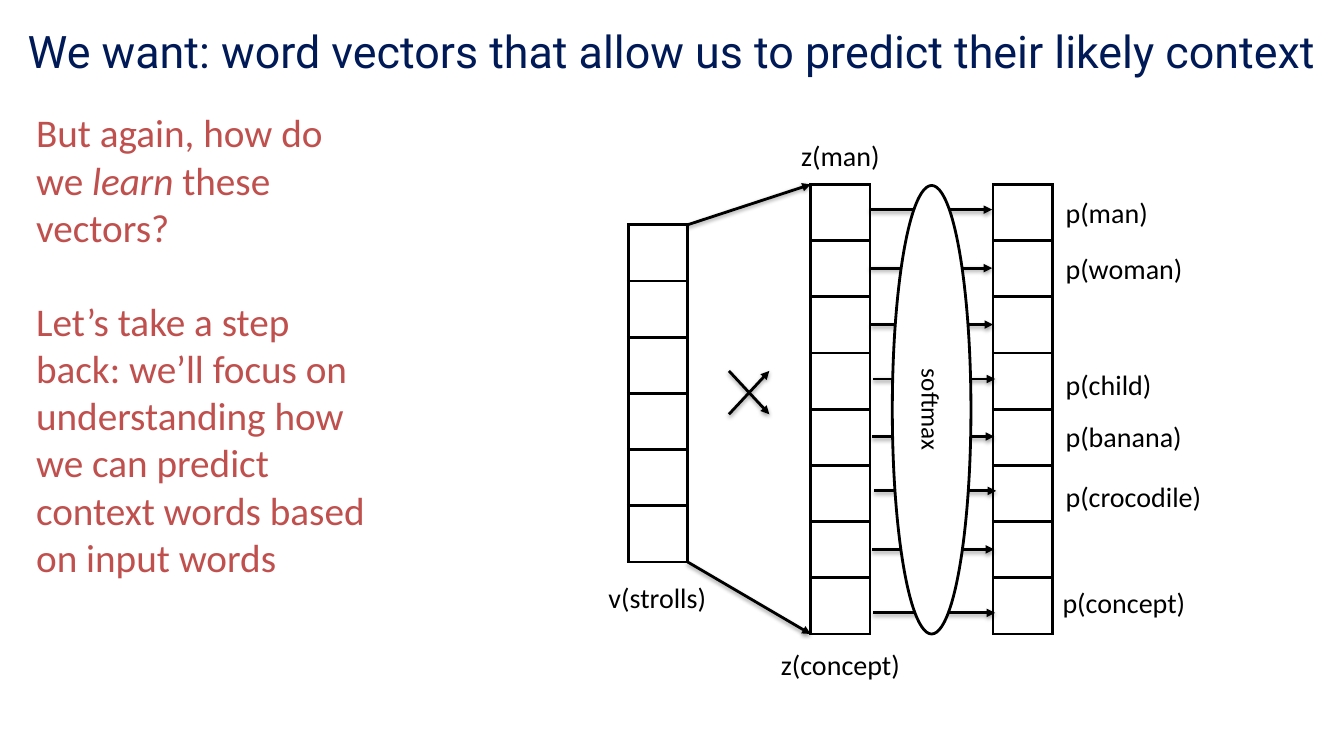
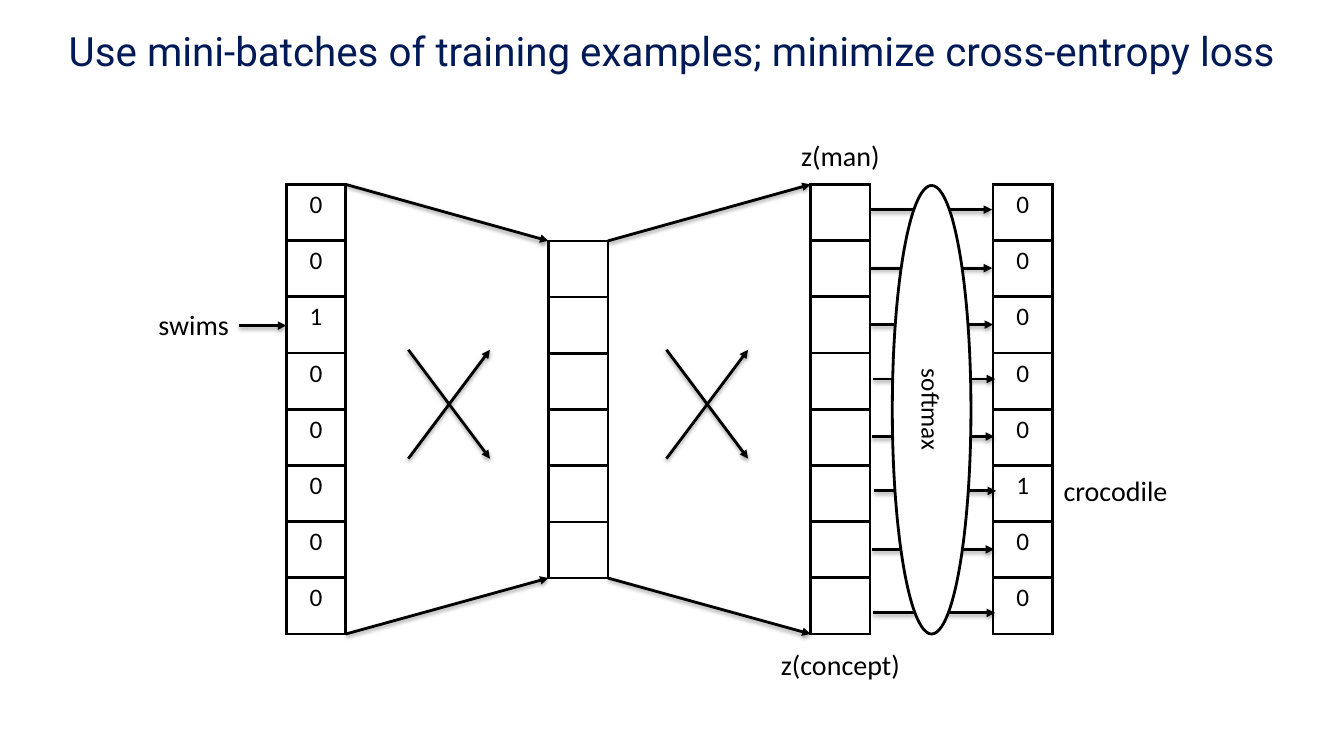
from lxml import etree
from pptx import Presentation
from pptx.dml.color import RGBColor
from pptx.enum.shapes import MSO_CONNECTOR, MSO_SHAPE
from pptx.enum.text import MSO_ANCHOR, MSO_AUTO_SIZE, PP_ALIGN
from pptx.oxml import parse_xml
from pptx.oxml.ns import nsdecls, qn
from pptx.util import Inches, Pt

LEFT, CENTER, RIGHT = PP_ALIGN.LEFT, PP_ALIGN.CENTER, PP_ALIGN.RIGHT
MIDDLE, TOP = MSO_ANCHOR.MIDDLE, MSO_ANCHOR.TOP
NO_AUTOFIT = MSO_AUTO_SIZE.NONE
OVAL, STRAIGHT = MSO_SHAPE.OVAL, MSO_CONNECTOR.STRAIGHT

COLORS = {"title": "001A57", "ink": "000000", "accent": "C0504D", "paper": "FFFFFF"}
BODY_FONT, TITLE_FONT = "Calibri", "Roboto"
SLIDE_WIDTH, SLIDE_HEIGHT = 13.33, 7.5
TITLE_ONLY = 5

CELL_WIDTH, CELL_HEIGHT = 0.59, 0.5575
LABEL_WIDTH, LABEL_HEIGHT = 1.8, 0.44
OUTPUT_LEFT, OUTPUT_TOP = 8.04, 1.83
PROBABILITY_OFFSET = 1.81
SOFTMAX_ARROWS = [(0, 0.25), (0, 0.83), (0.01, 1.39), (0.03, 1.93),
                  (0.02, 2.5), (0.04, 3.04), (0.02, 3.62), (0.03, 4.25)]


def rgb(name):
    """Return the named palette colour."""
    return RGBColor.from_string(COLORS[name])


def write(text_frame, *paragraphs, size=20, color="ink", font=BODY_FONT,
          align=LEFT, anchor=TOP, gap=0):
    """Fill a frame with paragraphs, each a string or a list of (text, italic) runs."""
    text_frame.word_wrap = True
    text_frame.auto_size = NO_AUTOFIT
    text_frame.vertical_anchor = anchor
    for index, content in enumerate(paragraphs):
        paragraph = text_frame.add_paragraph() if index else text_frame.paragraphs[0]
        paragraph.alignment = align
        paragraph.space_before = Pt(gap if index else 0)
        runs = [(content, False)] if isinstance(content, str) else content
        for text, italic in runs:
            run = paragraph.add_run()
            run.text = text
            run.font.name = font
            run.font.size = Pt(size)
            run.font.italic = italic
            run.font.color.rgb = rgb(color)


def add_text(slide, left, top, width, height, *paragraphs, **text_format):
    """Place a text box."""
    box = slide.shapes.add_textbox(Inches(left), Inches(top), Inches(width), Inches(height))
    write(box.text_frame, *paragraphs, **text_format)


def add_label(slide, anchor_x, top, text, align=LEFT):
    """Place a one-line label that starts, centres or ends at anchor_x."""
    shift = {LEFT: 0, CENTER: LABEL_WIDTH / 2, RIGHT: LABEL_WIDTH}[align]
    add_text(slide, anchor_x - shift, top, LABEL_WIDTH, LABEL_HEIGHT, text, align=align)


def add_arrow(slide, start, end):
    """Draw a softly shadowed arrow between two points."""
    arrow = slide.shapes.add_connector(STRAIGHT, *(Inches(value) for value in (*start, *end)))
    arrow.line.color.rgb = rgb("ink")
    arrow.line.width = Pt(2)
    etree.SubElement(arrow.line._get_or_add_ln(), qn("a:tailEnd"), type="triangle")
    arrow.element.spPr.append(parse_xml(
        f'<a:effectLst {nsdecls("a")}>'
        '<a:outerShdw blurRad="39400" dist="20300" dir="5400000" rotWithShape="0">'
        f'<a:srgbClr val="{COLORS["ink"]}"><a:alpha val="38000"/></a:srgbClr>'
        '</a:outerShdw></a:effectLst>'))


def add_vector(slide, left, top, values):
    """Draw a column of bordered cells and return its (left, top, right, bottom)."""
    height = CELL_HEIGHT * len(values)
    frame = slide.shapes.add_table(len(values), 1, Inches(left), Inches(top),
                                   Inches(CELL_WIDTH), Inches(height))
    table = frame.table
    table.first_row = table.horz_banding = False
    for row, value in zip(table.rows, values):
        row.height = Inches(CELL_HEIGHT)
        cell = row.cells[0]
        properties = cell._tc.get_or_add_tcPr()
        for side in ("lnL", "lnR", "lnT", "lnB"):
            properties.append(parse_xml(
                f'<a:{side} {nsdecls("a")} w="{Pt(2.25)}"><a:solidFill>'
                f'<a:srgbClr val="{COLORS["ink"]}"/></a:solidFill></a:{side}>'))
        cell.fill.background()
        if value:
            write(cell.text_frame, value, size=18, align=CENTER)
    return left, top, left + CELL_WIDTH, top + height


def connect_vectors(slide, source, target):
    """Join the facing top and bottom corners of two vectors."""
    for edge in (1, 3):
        add_arrow(slide, (source[2], source[edge]), (target[0], target[edge]))


def add_cross(slide, left, top, width, height):
    """Draw two crossing arrows within a box."""
    right, bottom = left + width, top + height
    add_arrow(slide, (left, bottom), (right, top))
    add_arrow(slide, (left, top), (right, bottom))


def add_output_layer(slide, left, top, values):
    """Draw the score vector, softmax and probability vector; return the score box."""
    scores = add_vector(slide, left, top, [""] * len(values))
    add_vector(slide, left + PROBABILITY_OFFSET, top, values)
    center = left + CELL_WIDTH / 2
    add_label(slide, center, top - 0.51, "z(man)", CENTER)
    add_label(slide, center, scores[3] + 0.08, "z(concept)", CENTER)
    for shift, drop in SOFTMAX_ARROWS:
        start = scores[2] + shift
        add_arrow(slide, (start, top + drop), (start + 1.21, top + drop))
    softmax = slide.shapes.add_shape(OVAL, Inches(left + 0.81), Inches(top + 0.01),
                                     Inches(0.78), Inches(4.45))
    softmax.shadow.inherit = False
    softmax.fill.solid()
    softmax.fill.fore_color.rgb = rgb("paper")
    softmax.line.color.rgb = rgb("ink")
    softmax.line.width = Pt(2)
    text_frame = softmax.text_frame
    text_frame.margin_left = text_frame.margin_right = 0
    text_frame.margin_top = text_frame.margin_bottom = 0
    write(text_frame, "softmax", size=18, align=CENTER, anchor=MIDDLE)
    softmax.element.txBody.bodyPr.set("vert", "vert")
    return scores


def add_titled_slide(presentation, title, size):
    """Add a slide with a full-width title band."""
    slide = presentation.slides.add_slide(presentation.slide_layouts[TITLE_ONLY])
    shape = slide.shapes.title
    shape.left, shape.top = Inches(0), Inches(0)
    shape.width, shape.height = Inches(SLIDE_WIDTH), Inches(1)
    write(shape.text_frame, title, size=size, color="title", font=TITLE_FONT,
          align=CENTER, anchor=MIDDLE)
    return slide


def build_prediction_slide(presentation):
    """Show how a word vector predicts its context words."""
    slide = add_titled_slide(
        presentation, "We want: word vectors that allow us to predict their likely context", 32)
    add_text(slide, 0.26, 1.03, 3.51, 4.81,
             [("But again, how do we ", False), ("learn", True), (" these vectors?", False)],
             "Let’s take a step back: we’ll focus on understanding how we can predict "
             "context words based on input words",
             size=28, color="accent", gap=34)
    word = add_vector(slide, 6.23, 2.23, [""] * 6)
    add_label(slide, 6.52, 5.71, "v(strolls)", CENTER)
    scores = add_output_layer(slide, OUTPUT_LEFT, OUTPUT_TOP, [""] * 8)
    connect_vectors(slide, word, scores)
    add_cross(slide, 7.23, 3.68, 0.4, 0.43)
    for left, top, name in [(10.47, 1.89, "man"), (10.47, 2.45, "woman"),
                            (10.47, 3.6, "child"), (10.47, 4.11, "banana"),
                            (10.47, 4.71, "crocodile"), (10.44, 5.76, "concept")]:
        add_label(slide, left, top, f"p({name})")


def build_training_slide(presentation):
    """Show one training example passing through the network."""
    slide = add_titled_slide(
        presentation, "Use mini-batches of training examples; minimize cross-entropy loss", 28.8)
    word = add_vector(slide, 2.84, OUTPUT_TOP, "00100000")
    hidden = add_vector(slide, 5.44, 2.39, [""] * 6)
    scores = add_output_layer(slide, OUTPUT_LEFT, OUTPUT_TOP, "00000100")
    connect_vectors(slide, word, hidden)
    connect_vectors(slide, hidden, scores)
    for left in (4.05, 6.61):
        add_cross(slide, left, 3.47, 0.81, 1.08)
    add_label(slide, 2.37, 3, "swims", RIGHT)
    add_arrow(slide, (2.37, 3.23), (2.84, 3.23))
    add_label(slide, 10.45, 4.65, "crocodile")


def main():
    """Build and save the presentation."""
    presentation = Presentation()
    presentation.slide_width = Inches(SLIDE_WIDTH)
    presentation.slide_height = Inches(SLIDE_HEIGHT)
    build_prediction_slide(presentation)
    build_training_slide(presentation)
    presentation.save("out.pptx")


if __name__ == "__main__":
    main()
